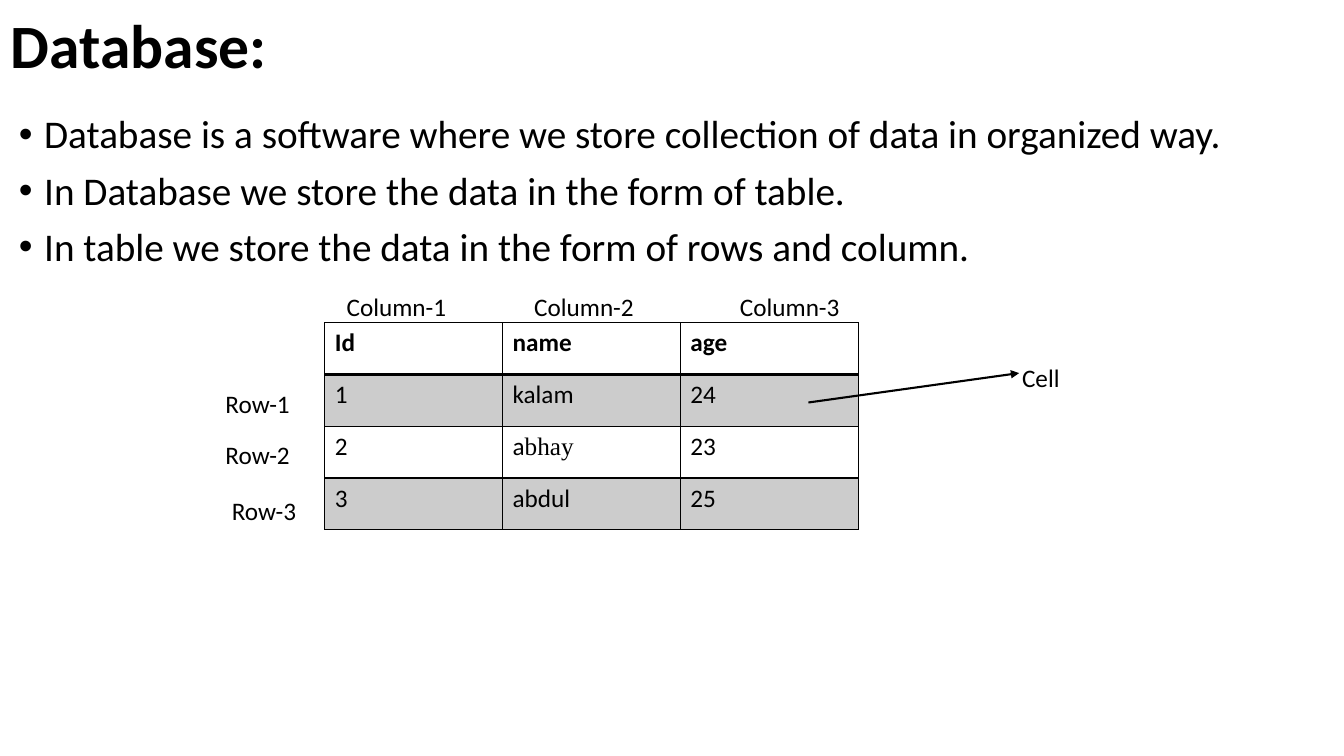
"""Build a slide that explains a database table with its rows, columns and cells."""
import pptx
import pptx.dml.color
import pptx.enum.shapes
import pptx.enum.text
import pptx.oxml
import pptx.oxml.ns
import pptx.util

Pt = pptx.util.Pt
NAMESPACE = pptx.oxml.ns.nsdecls("a")
BLACK, WHITE, GREY = "000000", "FFFFFF", "CCCCCC"


def color(value):
    return pptx.dml.color.RGBColor.from_string(value)


def write(para, text, size, bold=False, name="Calibri"):
    span = para.add_run()
    span.text = text
    for key, value in {"size": Pt(size), "bold": bold, "name": name}.items():
        setattr(span.font, key, value)
    span.font.color.rgb = color(BLACK)


deck = pptx.Presentation()
deck.slide_width, deck.slide_height = Pt(960), Pt(540)
page = deck.slides.add_slide(deck.slide_layouts[6])

title = page.shapes.add_textbox(Pt(0.7), Pt(0), Pt(957), Pt(69)).text_frame
title.word_wrap = True
title.vertical_anchor = pptx.enum.text.MSO_ANCHOR.MIDDLE
title.paragraphs[0].line_spacing = 0.9
write(title.paragraphs[0], "Database:", 44, bold=True)

body = page.shapes.add_textbox(Pt(6.5), Pt(78.5), Pt(950), Pt(450)).text_frame
body.word_wrap = True
points = [
    "Database is a software where we store collection of data in organized way.",
    "In Database we store the data in the form of table.",
    "In table we store the data in the form of rows and column.",
]
for index, point in enumerate(points):
    para = body.add_paragraph() if index else body.paragraphs[0]
    for key, value in {"line_spacing": 0.9, "space_before": Pt(10)}.items():
        setattr(para, key, value)
    properties = para._p.get_or_add_pPr()
    for key, value in {"marL": Pt(18), "indent": Pt(-18)}.items():
        properties.set(key, str(value))
    for xml in (f'<a:buFont {NAMESPACE} typeface="Arial"/>', f'<a:buChar {NAMESPACE} char="•"/>'):
        properties.append(pptx.oxml.parse_xml(xml))
    write(para, point, 28)

records = [
    ["Id", "name", "age"],
    ["1", "kalam", "24"],
    ["2", "abhay", "23"],
    ["3", "abdul", "25"],
]
table = page.shapes.add_table(4, 3, Pt(232), Pt(230.5), Pt(381), Pt(148)).table
for key in ("first_row", "horz_banding"):
    setattr(table, key, False)
for column in table.columns:
    column.width = Pt(127)
for row in table.rows:
    row.height = Pt(37)
for row_index, record in enumerate(records):
    for column_index, text in enumerate(record):
        cell = table.cell(row_index, column_index)
        para = cell.text_frame.paragraphs[0]
        if text == "abhay":
            write(para, text[0], 18)
            write(para, text[1:], 18, name="Times New Roman")
        else:
            write(para, text, 18, bold=row_index == 0)
        for side in "LRTB":
            thick = (row_index, side) in [(0, "B"), (1, "T")]
            cell._tc.get_or_add_tcPr().append(pptx.oxml.parse_xml(
                f'<a:ln{side} {NAMESPACE} w="{Pt(2 if thick else 1)}"><a:solidFill>'
                f'<a:srgbClr val="{BLACK}"/></a:solidFill></a:ln{side}>'))
        cell.fill.solid()
        cell.fill.fore_color.rgb = color(GREY if row_index % 2 else WHITE)

labels = [
    ("Column-1", 240.5, 204.5, 95),
    ("Column-2", 374.5, 204.5, 99),
    ("Column-3", 521.5, 204.5, 92),
    ("Row-1", 154, 273.5, 61),
    ("Row-2", 154, 310.5, 61),
    ("Row-3", 158.5, 350.5, 61),
    ("Cell", 723, 255, 61),
]
for text, left, top, width in labels:
    box = page.shapes.add_textbox(Pt(left), Pt(top), Pt(width), Pt(29)).text_frame
    box.word_wrap = True
    write(box.paragraphs[0], text, 18)

arrow = page.shapes.add_connector(
    pptx.enum.shapes.MSO_CONNECTOR.STRAIGHT, Pt(577.5), Pt(287.5), Pt(728), Pt(266.5))
arrow.line.width = Pt(1.5)
arrow.line.color.rgb = color(BLACK)
outline = arrow.element.spPr
outline.get_or_add_ln().append(pptx.oxml.parse_xml(f'<a:tailEnd {NAMESPACE} type="triangle"/>'))
outline.append(pptx.oxml.parse_xml(f"<a:effectLst {NAMESPACE}/>"))

deck.save("out.pptx")
